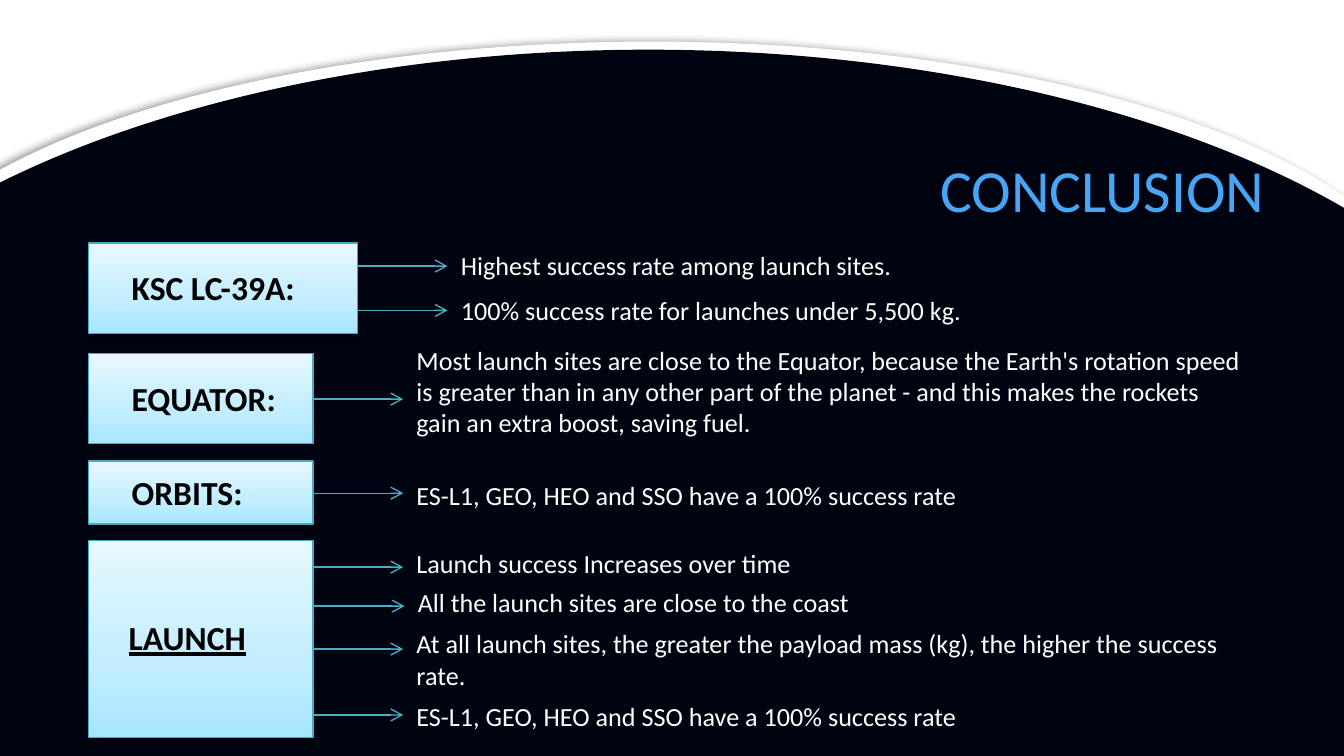
import copy

import pptx
import pptx.dml.color
import pptx.enum.shapes
import pptx.enum.text
import pptx.oxml
import pptx.oxml.ns
import pptx.util

Inches = pptx.util.Inches
Pt = pptx.util.Pt
RGB = pptx.dml.color.RGBColor.from_string
SHAPES = pptx.enum.shapes.MSO_SHAPE
qn = pptx.oxml.ns.qn
NAMESPACE = pptx.oxml.ns.nsdecls("a")

THEME = {
    "font": "Calibri",
    "title": (32, "47A5F3"),
    "label": (18, "000000"),
    "body": (14, "FFFFFF"),
    "arc": "FFFFFF",
    "night": "000411",
    "box_line": "46AAC5",
    "box_gradient": [(0, "A7E6FF"), (0.35, "C1EDFF"), (1, "E7F8FF")],
    "arrow": "4BACC6",
    "shadow": "000000",
}


def write_text(shape, text, style, margin_left=0.1, margin_top=0.0, margin_bottom=0.1):
    """Fill a text shape and format its single run; return the run's font."""
    frame = shape.text_frame
    frame.text = text
    frame.word_wrap = True
    frame.vertical_anchor = pptx.enum.text.MSO_ANCHOR.TOP
    frame.margin_left, frame.margin_right = Inches(margin_left), Inches(0.1)
    frame.margin_top, frame.margin_bottom = Inches(margin_top), Inches(margin_bottom)
    font = frame.paragraphs[0].runs[0].font
    size, color = THEME[style]
    font.name, font.size = THEME["font"], Pt(size)
    font.color.rgb = RGB(color)
    return font


def add_shadow(shape, opacity, blur, distance, angle):
    """Give a shape an outer shadow; blur and distance in points."""
    shape.shadow.inherit = False
    effects = shape._element.spPr.find(qn("a:effectLst"))
    effects.append(pptx.oxml.parse_xml(
        f'<a:outerShdw {NAMESPACE} blurRad="{Pt(blur)}" dist="{Pt(distance)}" '
        f'dir="{angle * 60000}" rotWithShape="0"><a:srgbClr val="{THEME["shadow"]}">'
        f'<a:alpha val="{opacity * 1000}"/></a:srgbClr></a:outerShdw>'))


# Widescreen 16:9 slide
presentation = pptx.Presentation()
presentation.slide_width = Inches(10)
presentation.slide_height = Inches(10 * 9 / 16)
slide = presentation.slides.add_slide(presentation.slide_layouts[5])
shapes = slide.shapes

# Curved backdrop: a white rim with a shadow and the night sky below it
backdrop = shapes.add_group_shape()
rim = backdrop.shapes.add_shape(
    SHAPES.OVAL, Inches(-1.01), Inches(0.31), Inches(11.7), Inches(4.35))
sky = backdrop.shapes.add_shape(
    SHAPES.OVAL, Inches(-1.94), Inches(0.37), Inches(13.53), Inches(6.61))
for ellipse, color in ((rim, THEME["arc"]), (sky, THEME["night"])):
    ellipse.fill.solid()
    ellipse.fill.fore_color.rgb = RGB(color)
    ellipse.line.fill.background()
    ellipse.shadow.inherit = False
add_shadow(rim, 40, 4, 3, 180)

# Title, brought in front of the backdrop
title = shapes.title
title.left, title.top = Inches(-0.34), Inches(1.14)
title.width, title.height = Inches(9.85), Inches(0.5)
write_text(title, "CONCLUSION", "title")
title.text_frame.auto_size = pptx.enum.text.MSO_AUTO_SIZE.NONE
title.text_frame.paragraphs[0].alignment = pptx.enum.text.PP_ALIGN.RIGHT
backdrop._element.addnext(title._element)

# Topics: label, box top, width and height, label left, top and inset,
# then findings: shift to the right, arrow height, text top, text height, text
BOX_LEFT, ARROW_LENGTH = 0.66, 0.67
topics = [
    ("KSC LC-39A:", 1.81, 2, 0.67, 0.82, 1.94, 0.16, [
        (0, 1.98, 1.81, 0.34, "Highest success rate among launch sites."),
        (0, 2.31, 2.14, 0.34, "100% success rate for launches under 5,500 kg."),
    ]),
    ("EQUATOR:", 2.63, 1.67, 0.67, 0.82, 2.76, 0.16, [
        (0, 2.97, 2.56, 0.67,
         "Most launch sites are close to the Equator, because the Earth's rotation speed "
         "is greater than in any other part of the planet - and this makes the rockets "
         "gain an extra boost, saving fuel."),
    ]),
    ("ORBITS:", 3.43, 1.67, 0.47, 0.82, 3.46, 0.16, [
        (0, 3.67, 3.57, 0.37, "ES-L1, GEO, HEO and SSO have a 100% success rate"),
    ]),
    ("LAUNCH", 4.02, 1.67, 1.47, 0.86, 4.54, 0.1, [
        (0, 4.22, 4.07, 0.37, "Launch success Increases over time"),
        (0.01, 4.51, 4.36, 0.37, "All the launch sites are close to the coast"),
        (0, 4.83, 4.67, 0.37, "At all launch sites, the greater the payload mass (kg), "
                              "the higher the success rate."),
        (0, 5.32, 5.21, 0.32, "ES-L1, GEO, HEO and SSO have a 100% success rate"),
    ]),
]

for label, top, width, height, label_left, label_top, inset, findings in topics:
    # Gradient box
    box = shapes.add_shape(SHAPES.FLOWCHART_PROCESS, Inches(BOX_LEFT), Inches(top),
                           Inches(width), Inches(height))
    box.fill.gradient()
    box.fill.gradient_angle = 90
    stop_list = box._element.spPr.find(qn("a:gradFill")).find(qn("a:gsLst"))
    stop_list.append(copy.deepcopy(stop_list[-1]))
    for stop, (position, color) in zip(box.fill.gradient_stops, THEME["box_gradient"]):
        stop.position = position
        stop.color.rgb = RGB(color)
    box.line.color.rgb = RGB(THEME["box_line"])
    box.line.width = Pt(0.75)
    add_shadow(box, 38, 3.1, 1.6, 90)

    # Label
    label_box = shapes.add_textbox(Inches(label_left), Inches(label_top),
                                   Inches(1.67), Inches(0.4))
    font = write_text(label_box, label, "label", inset, 0.05, 0.05)
    font.bold = True
    if label == "LAUNCH":
        font.underline = True

    # Arrows and findings; the wide box has narrower texts with an even inset
    text_width, margins = (4.51, (0.05, 0.05)) if width == 2 else (6.35, (0, 0.1))
    for shift, arrow_y, text_top, text_height, text in findings:
        arrow_start = BOX_LEFT + width + shift
        text_left = arrow_start + ARROW_LENGTH
        arrow = shapes.add_connector(
            pptx.enum.shapes.MSO_CONNECTOR.STRAIGHT, Inches(arrow_start), Inches(arrow_y),
            Inches(text_left), Inches(arrow_y))
        arrow.line.color.rgb = RGB(THEME["arrow"])
        arrow.line.width = Pt(0.75)
        arrow.line._get_or_add_ln().append(
            pptx.oxml.parse_xml(f'<a:tailEnd {NAMESPACE} type="arrow"/>'))
        arrow._element.spPr.append(pptx.oxml.parse_xml(f"<a:effectLst {NAMESPACE}/>"))
        finding = shapes.add_textbox(Inches(text_left), Inches(text_top),
                                     Inches(text_width), Inches(text_height))
        write_text(finding, text, "body", 0.1, *margins)

presentation.save("out.pptx")
